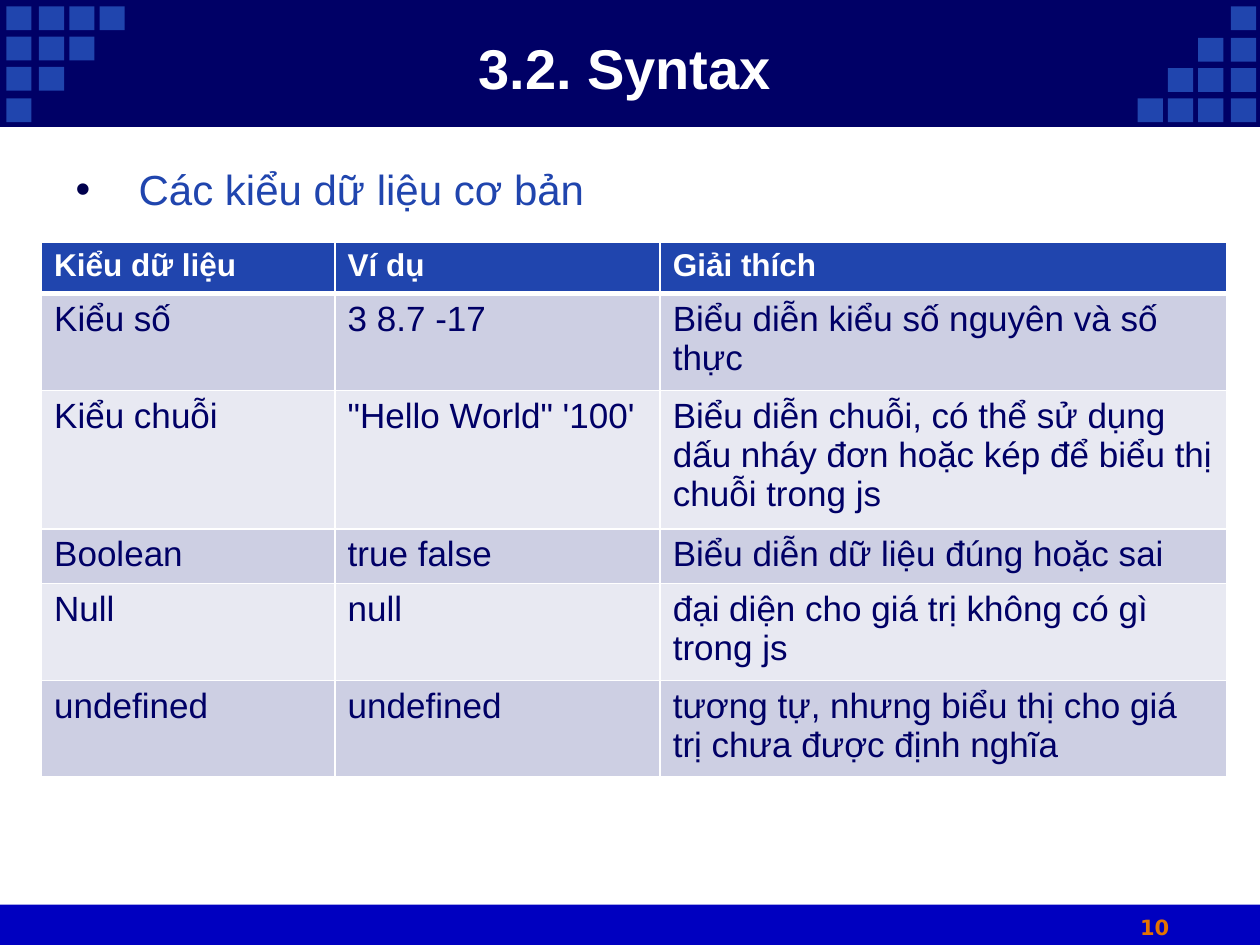
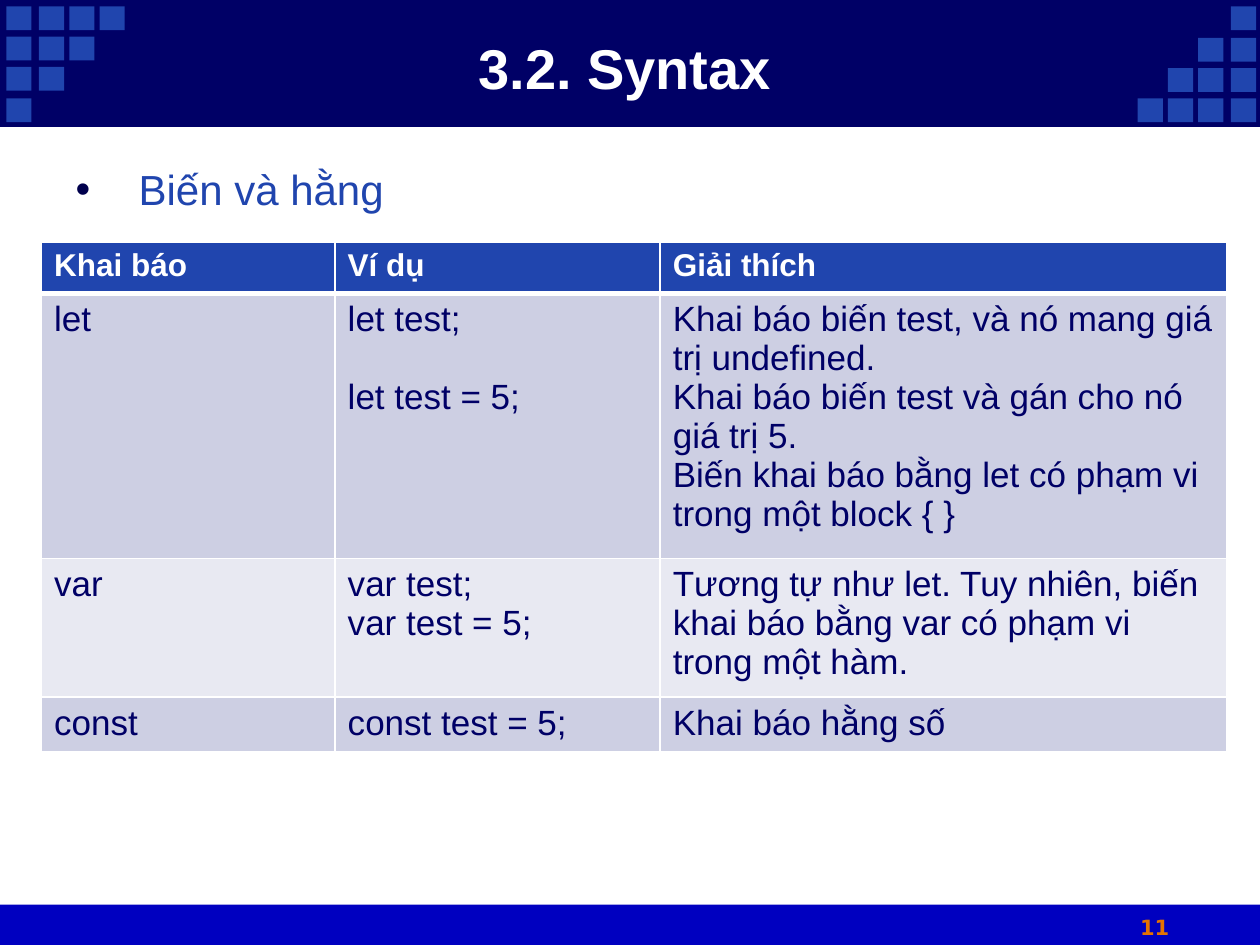
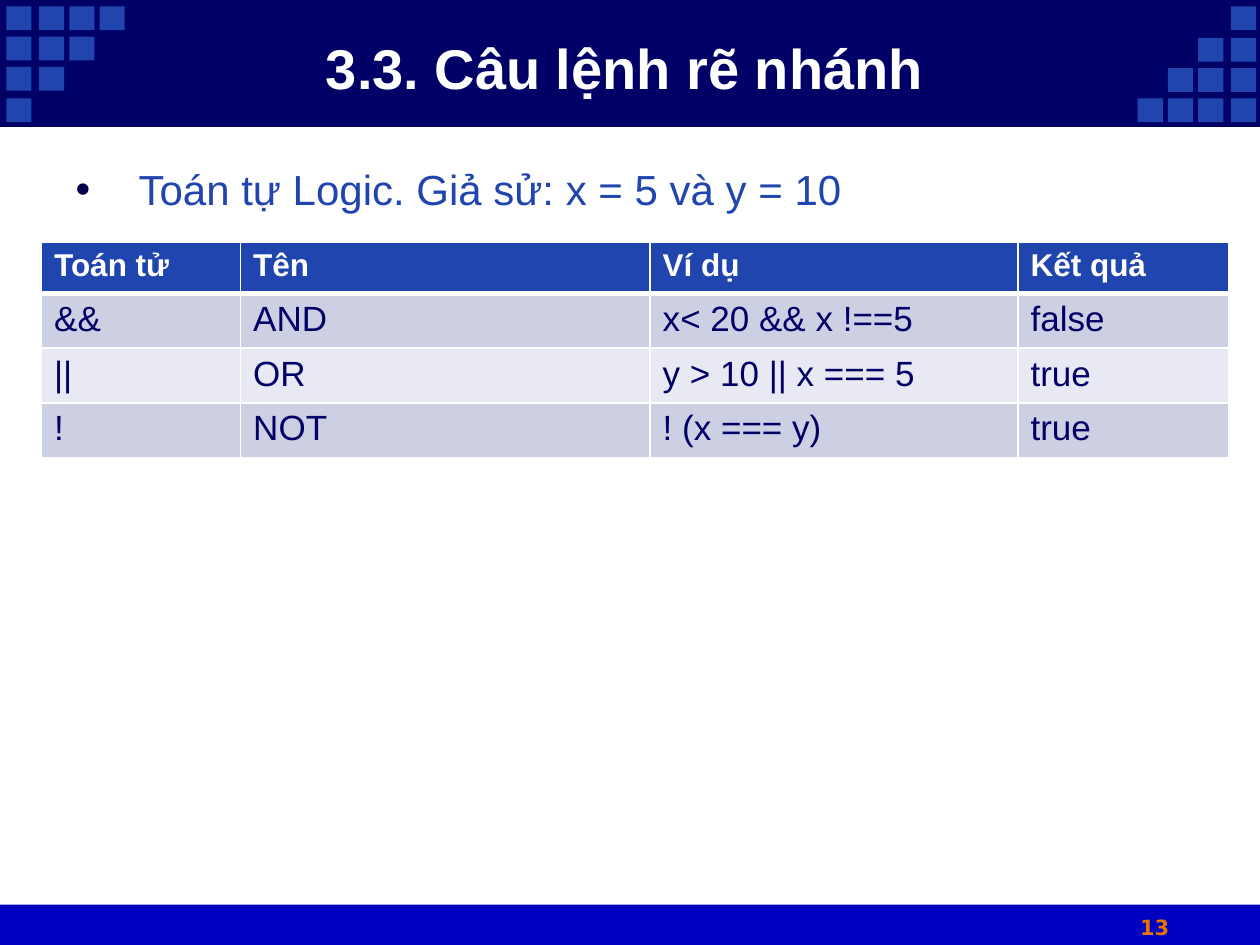
from lxml.etree import SubElement
from pptx import Presentation
from pptx.dml.color import RGBColor
from pptx.enum.shapes import MSO_SHAPE
from pptx.enum.text import MSO_ANCHOR, MSO_AUTO_SIZE, PP_ALIGN
from pptx.oxml.ns import qn
from pptx.util import Inches, Pt

COLOURS = {
    "navy": "000066",
    "blue": "2045AE",
    "footer": "0000C0",
    "number": "E57300",
    "bullet": "00004D",
    "white": "FFFFFF",
    "band_dark": "CDCFE3",
    "band_light": "E8E9F2",
}
FONT = "Arial"
NUMBER_FONT = "DejaVu Sans"

# Corner squares: offsets from the corner, shared by both triangles
SQUARE_COLUMNS = [0.05, 0.31, 0.55, 0.79]
SQUARE_ROWS = [0.05, 0.29, 0.53, 0.78]
SQUARE_SIZE = (0.2, 0.19)

ROW_HEIGHT = 0.41
BLANK_LINE = Pt(22.3)  # one line of 20 pt table text
SYNTAX_COLUMNS = [2.33, 2.58, 4.5]
LOGIC_COLUMNS = [1.58, 3.25, 2.92, 1.67]

DATA_TYPES = [
    ["Kiểu dữ liệu", "Ví dụ", "Giải thích"],
    ["Kiểu số", "3 8.7 -17", "Biểu diễn kiểu số nguyên và số thực"],
    ["Kiểu chuỗi", "\"Hello World\" '100'",
     "Biểu diễn chuỗi, có thể sử dụng dấu nháy đơn hoặc kép để biểu thị chuỗi trong js"],
    ["Boolean", "true false", "Biểu diễn dữ liệu đúng hoặc sai"],
    ["Null", "null", "đại diện cho giá trị không có gì trong js"],
    ["undefined", "undefined", "tương tự, nhưng biểu thị cho giá trị chưa được định nghĩa"],
]
DECLARATIONS = [
    ["Khai báo", "Ví dụ", "Giải thích"],
    ["let", "let test;\nlet test = 5;",
     "Khai báo biến test, và nó mang giá trị undefined.\n"
     "Khai báo biến test và gán cho nó giá trị 5.\n"
     "Biến khai báo bằng let có phạm vi trong một block { }"],
    ["var", "var test;\nvar test = 5;",
     "Tương tự như let. Tuy nhiên, biến khai báo bằng var có phạm vi trong một hàm."],
    ["const", "const test = 5;", "Khai báo hằng số"],
]
LOGIC_OPERATORS = [
    ["Toán tử", "Tên", "Ví dụ", "Kết quả"],
    ["&&", "AND", "x< 20 && x !==5", "false"],
    ["||", "OR", "y > 10 || x === 5", "true"],
    ["!", "NOT", "! (x === y)", "true"],
]


def colour(name):
    return RGBColor.from_string(COLOURS[name])


def set_font(para, size, shade, bold=False, name=FONT):
    font = para.font
    font.name, font.size, font.bold = name, Pt(size), bold
    font.color.rgb = colour(shade)


def place(shape, left, top, width, height):
    shape.left, shape.top = Inches(left), Inches(top)
    shape.width, shape.height = Inches(width), Inches(height)


def add_rectangle(page, left, top, width, height, shade):
    box = page.shapes.add_shape(MSO_SHAPE.RECTANGLE, Inches(left), Inches(top),
                                Inches(width), Inches(height))
    box.shadow.inherit = False
    box.fill.solid()
    box.fill.fore_color.rgb = colour(shade)
    box.line.fill.background()
    return box


def decorate_master(deck, page):
    """Draw the bands and squares on a page, then move them to the master."""
    boxes = [add_rectangle(page, 0, 7.18, 10, 0.33, "footer")]
    header = add_rectangle(page, 0, 0, 10, 1, "navy")
    header.line.color.rgb = colour("navy")
    header.line.width = Pt(0.75)
    boxes.append(header)
    for row, top in enumerate(SQUARE_ROWS):
        for left in SQUARE_COLUMNS[:len(SQUARE_COLUMNS) - row]:
            # The right triangle is the left one turned by half a turn
            for x, y in [(left, top), (9.82 - left, 0.83 - top)]:
                boxes.append(add_rectangle(page, x, y, *SQUARE_SIZE, "blue"))
    tree = deck.slide_master.shapes.element
    for index, box in enumerate(boxes):
        box.element.xpath(".//p:cNvPr")[0].set("id", str(100 + index))
        tree.insert(2 + index, box.element)


def set_title(page, text):
    title = page.shapes.title
    place(title, 0.92, 0.22, 8.08, 0.62)
    frame = title.text_frame
    frame.text = text
    frame.auto_size = MSO_AUTO_SIZE.NONE
    frame.vertical_anchor = MSO_ANCHOR.MIDDLE
    para = frame.paragraphs[0]
    para.alignment = PP_ALIGN.CENTER
    set_font(para, 32, "white", bold=True)


def set_body(page, text):
    body = page.placeholders[1]
    place(body, 0.5, 1.18, 9, 5.74)
    frame = body.text_frame
    frame.text = text
    frame.auto_size = MSO_AUTO_SIZE.NONE
    para = frame.paragraphs[0]
    para.alignment = PP_ALIGN.JUSTIFY
    para.line_spacing = Pt(33.6)
    para.space_before = Pt(4.8)
    # Bullet and hanging indent
    properties = para._p.get_or_add_pPr()
    properties.set("marL", str(Inches(0.5)))
    properties.set("indent", str(-Inches(0.5)))
    shade = SubElement(properties, qn("a:buClr"))
    SubElement(shade, qn("a:srgbClr"), val=COLOURS["bullet"])
    SubElement(properties, qn("a:buFont"), typeface=FONT)
    SubElement(properties, qn("a:buChar"), char="•")
    set_font(para, 24, "blue")


def add_page_number(page, number):
    box = page.shapes.add_textbox(Inches(8.83), Inches(7.21), Inches(0.67), Inches(0.29))
    frame = box.text_frame
    frame.word_wrap = True
    frame.text = str(number)
    para = frame.paragraphs[0]
    para.alignment = PP_ALIGN.CENTER
    set_font(para, 12, "number", bold=True, name=NUMBER_FONT)


def set_borders(cell, top, bottom):
    properties = cell._tc.get_or_add_tcPr()
    for side, width in [("L", 1), ("R", 1), ("T", top), ("B", bottom)]:
        line = SubElement(properties, qn(f"a:ln{side}"), w=str(Pt(width)))
        fill = SubElement(line, qn("a:solidFill"))
        SubElement(fill, qn("a:srgbClr"), val=COLOURS["white"])


def format_cell(cell, row):
    is_header = row == 0
    set_borders(cell, top=3 if row == 1 else 1, bottom=3 if is_header else 1)
    band = "band_dark" if row % 2 else "band_light"
    cell.fill.solid()
    cell.fill.fore_color.rgb = colour("blue" if is_header else band)
    for para in cell.text_frame.paragraphs:
        if is_header:
            set_font(para, 18, "white", bold=True)
        else:
            set_font(para, 20, "navy")


def add_data_table(page, rows, widths):
    frame = page.shapes.add_table(len(rows), len(widths), Inches(0.33), Inches(1.92),
                                  Inches(sum(widths)), Inches(ROW_HEIGHT * len(rows)))
    table = frame.table
    for column, width in zip(table.columns, widths):
        column.width = Inches(width)
    for row, texts in enumerate(rows):
        for column, text in enumerate(texts):
            cell = table.cell(row, column)
            cell.text = text
            format_cell(cell, row)
    return table


def add_page(deck, number, title, topic):
    page = deck.slides.add_slide(deck.slide_layouts[1])
    set_title(page, title)
    set_body(page, topic)
    add_page_number(page, number)
    return page


def main():
    deck = Presentation()
    deck.slide_width, deck.slide_height = Inches(10), Inches(7.5)

    # Data types
    page = add_page(deck, 10, "3.2. Syntax", "Các kiểu dữ liệu cơ bản")
    decorate_master(deck, page)
    add_data_table(page, DATA_TYPES, SYNTAX_COLUMNS)

    # Variables and constants; the second example lines up with its explanation
    page = add_page(deck, 11, "3.2. Syntax", "Biến và hằng")
    table = add_data_table(page, DECLARATIONS, SYNTAX_COLUMNS)
    table.cell(1, 1).text_frame.paragraphs[1].space_before = BLANK_LINE

    # Logic operators
    page = add_page(deck, 13, "3.3. Câu lệnh rẽ nhánh",
                    "Toán tự Logic. Giả sử: x = 5 và y = 10")
    add_data_table(page, LOGIC_OPERATORS, LOGIC_COLUMNS)

    deck.save("out.pptx")


main()
